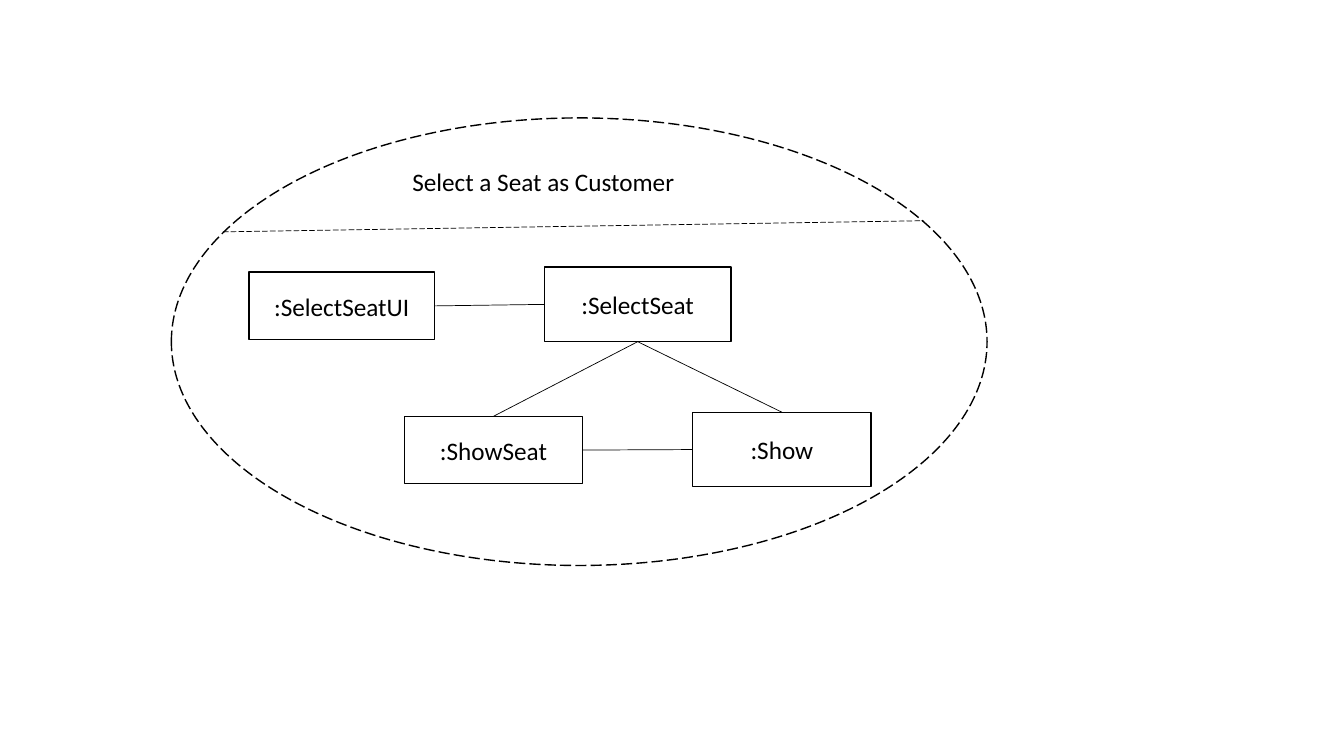
"""Build a collaboration diagram slide for selecting a seat as a customer."""
from dataclasses import dataclass

from lxml import etree
from pptx import Presentation
from pptx import util as u
from pptx.dml.color import RGBColor
from pptx.enum import dml, shapes, text
from pptx.oxml.ns import qn

# Lengths are percentages of the slide: left, top, width, height
TITLE = ("Select a Seat as Customer", (29.93, 21.33, 26.33, 5.33))
BOUNDARY = (12.75, 15.6, 60.69, 59.2)
DIVIDER = (16.58, 30.67, 68.72, 29.2)
OBJECTS = {
    ":SelectSeatUI": (18.53, 36, 13.8, 8.93),
    ":SelectSeat": (40.51, 35.33, 13.88, 9.87),
    ":ShowSeat": (30.08, 55.07, 13.28, 8.93),
    ":Show": (51.54, 54.53, 13.28, 9.87),
}
TOP, LEFT, BOTTOM, RIGHT = range(4)
LINKS = [
    (":SelectSeatUI", RIGHT, ":SelectSeat", LEFT),
    (":SelectSeat", BOTTOM, ":ShowSeat", TOP),
    (":SelectSeat", BOTTOM, ":Show", TOP),
    (":ShowSeat", RIGHT, ":Show", LEFT),
]


@dataclass(frozen=True)
class Theme:
    ink: RGBColor = RGBColor(0, 0, 0)
    paper: RGBColor = RGBColor(255, 255, 255)
    font: str = "Calibri"
    size: u.Length = u.Pt(18)
    outline: u.Length = u.Pt(1)
    thin: u.Length = u.Pt(0.5)


theme = Theme()
presentation = Presentation()
presentation.slide_width, presentation.slide_height = u.Inches(13.33), u.Inches(7.5)
slide = presentation.slides.add_slide(presentation.slide_layouts[5])


def place(shares):
    sides = (presentation.slide_width, presentation.slide_height) * 2
    return [round(share * side / 100) for share, side in zip(shares, sides)]


def write(shape, words, alignment, anchor):
    frame = shape.text_frame
    frame.text = words
    frame.word_wrap = True
    frame.auto_size = text.MSO_AUTO_SIZE.NONE
    frame.vertical_anchor = anchor
    paragraph = frame.paragraphs[0]
    paragraph.alignment = alignment
    paragraph.font.name, paragraph.font.size = theme.font, theme.size
    paragraph.font.color.rgb = theme.ink


def draw_line(line, width, dash=None):
    line.color.rgb, line.width = theme.ink, width
    if dash:
        line.dash_style = dash


def add_outline(kind, shares, dash=None):
    shape = slide.shapes.add_shape(kind, *place(shares))
    shape.shadow.inherit = False
    shape.fill.solid()
    shape.fill.fore_color.rgb = theme.paper
    draw_line(shape.line, theme.outline, dash)
    return shape


def add_line(ends=(0, 0, 0, 0), dash=None):
    connector = slide.shapes.add_connector(shapes.MSO_CONNECTOR.STRAIGHT, *place(ends))
    draw_line(connector.line, theme.thin, dash)
    etree.SubElement(connector.element.spPr, qn("a:effectLst"))
    return connector


long_dash = dml.MSO_LINE.LONG_DASH
boundary = add_outline(shapes.MSO_SHAPE.OVAL, BOUNDARY, long_dash)
add_line(DIVIDER, long_dash)

title = slide.shapes.title
title.left, title.top, title.width, title.height = place(TITLE[1])
write(title, TITLE[0], text.PP_ALIGN.LEFT, text.MSO_ANCHOR.TOP)
boundary.element.addnext(title.element)

boxes = {}
for name, shares in OBJECTS.items():
    boxes[name] = add_outline(shapes.MSO_SHAPE.RECTANGLE, shares)
    write(boxes[name], name, text.PP_ALIGN.CENTER, text.MSO_ANCHOR.MIDDLE)

for source, source_side, target, target_side in LINKS:
    link = add_line()
    link.begin_connect(boxes[source], source_side)
    link.end_connect(boxes[target], target_side)

presentation.save("out.pptx")
